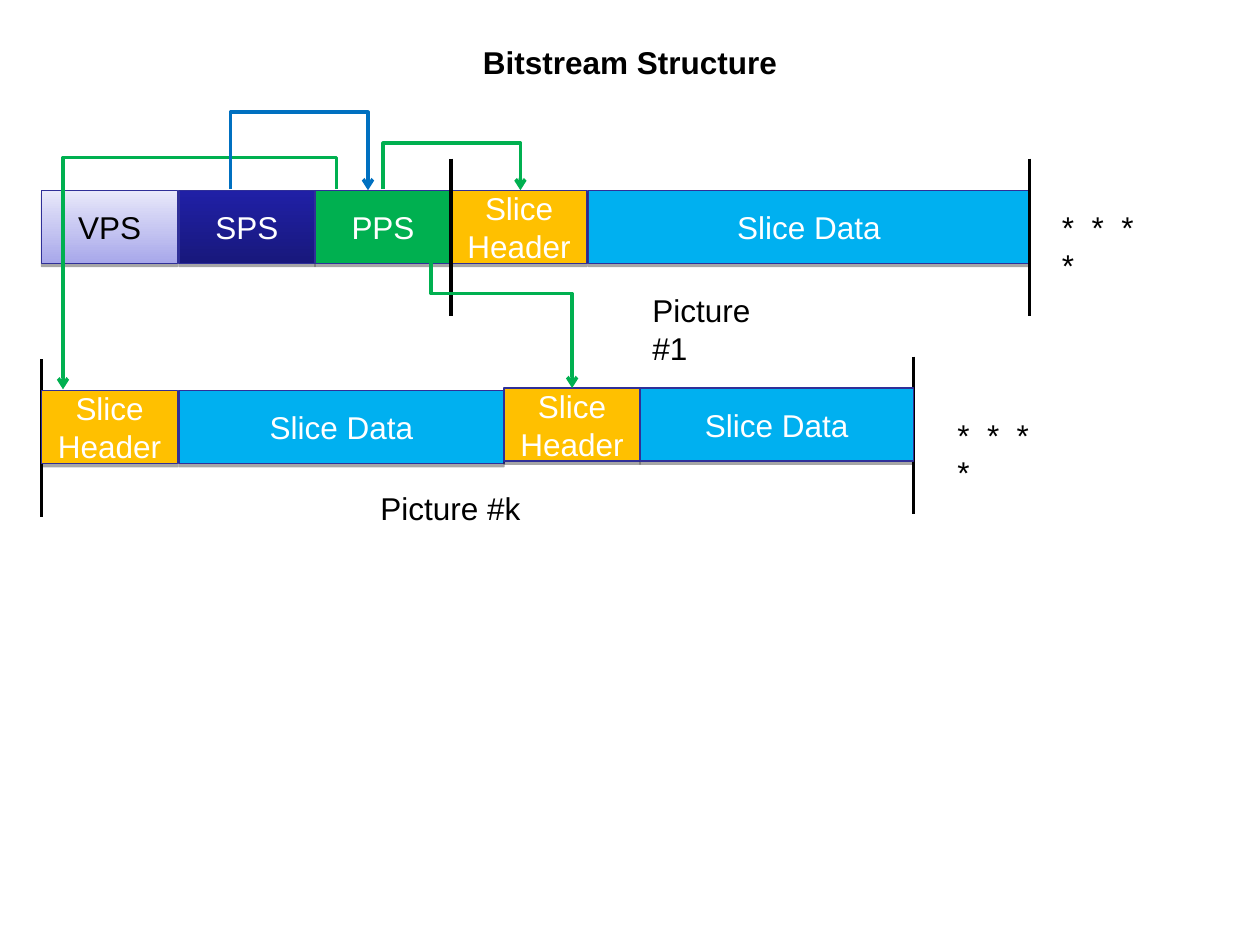
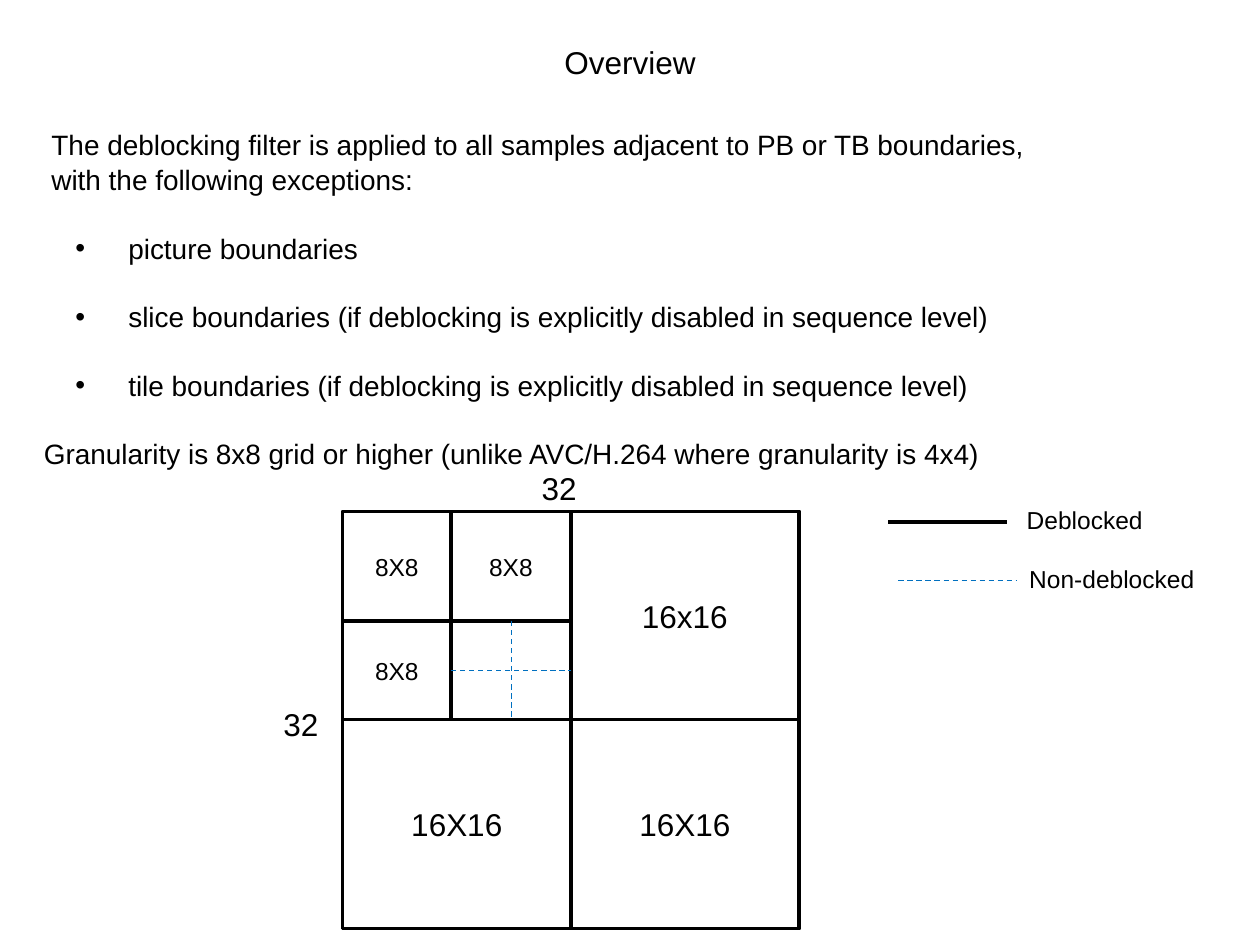
"""Builds two slides on video coding: bitstream structure and deblocking."""
from lxml.etree import SubElement
from pptx import Presentation
from pptx.dml.color import RGBColor as RGB
from pptx.enum.dml import MSO_LINE as Dash
from pptx.enum.shapes import MSO_CONNECTOR as Wire, MSO_SHAPE as Form
from pptx.enum.text import MSO_ANCHOR as Anchor, PP_ALIGN as Align
from pptx.oxml.ns import qn
from pptx.util import Inches, Pt

BLACK = RGB(0, 0, 0)
WHITE = RGB(255, 255, 255)
EDGE = RGB(0x2F, 0x2F, 0x98)
GREEN = RGB(0x00, 0xB0, 0x50)
GOLD = RGB(0xFF, 0xC0, 0x00)
SKY = RGB(0x00, 0xB0, 0xF0)
BLUE = RGB(0x00, 0x70, 0xC0)
LILAC = RGB(0xA8, 0xA8, 0xEA), RGB(0xE8, 0xE8, 0xFA)
NAVY = RGB(0x18, 0x18, 0x7C), RGB(0x20, 0x20, 0xA6)


class Deck:
    """Holds the style and the current slide."""

    def __init__(self):
        self.show = Presentation()
        self.show.slide_width = Inches(10)
        self.show.slide_height = Inches(7.5)
        self.slide = None

    def style(self, para, size=18, color=BLACK, bold=False, align=None):
        font = para.font
        font.name, font.size, font.bold = "Arial", Pt(size), bold
        font.color.rgb = color
        para.alignment = align

    def start(self, title, bold=False):
        self.slide = self.show.slides.add_slide(self.show.slide_layouts[5])
        head = self.slide.shapes.title
        head.left, head.top = Inches(0.5), Inches(0.08)
        head.width, head.height = Inches(9), Inches(0.83)
        frame = head.text_frame
        frame.text, frame.vertical_anchor = title, Anchor.MIDDLE
        self.style(frame.paragraphs[0], bold=bold, align=Align.CENTER)

    def label(self, x, y, w, text, size=18, gap=0):
        box = self.slide.shapes.add_textbox(
            Inches(x), Inches(y), Inches(w), Inches(0.4))
        frame = box.text_frame
        frame.text, frame.word_wrap = text, False
        para = frame.paragraphs[0]
        self.style(para, size)
        if gap:
            para.runs[0].font.size = Pt(size)
            para.runs[0]._r.get_or_add_rPr().set("spc", str(gap))

    def block(self, x, y, w, h, text="", fill=WHITE, ink=BLACK, size=18,
              edge=BLACK, width=2):
        box = self.slide.shapes.add_shape(
            Form.RECTANGLE, Inches(x), Inches(y), Inches(w), Inches(h))
        if isinstance(fill, RGB):
            box.fill.solid()
            box.fill.fore_color.rgb = fill
        else:
            box.fill.gradient()
            box.fill.gradient_angle = 90
            for stop, tone in zip(box.fill.gradient_stops, fill):
                stop.color.rgb = tone
        box.line.color.rgb, box.line.width = edge, Pt(width)
        box.shadow.inherit = False
        if text:
            frame = box.text_frame
            frame.text, frame.word_wrap = text, True
            frame.vertical_anchor = Anchor.MIDDLE
            self.style(frame.paragraphs[0], size, ink, align=Align.CENTER)
        return box

    def unit(self, x, y, w, text, fill, ink=WHITE):
        box = self.block(x, y, w, 0.58, text, fill, ink, edge=EDGE, width=0.75)
        effect = box.element.spPr.find(qn("a:effectLst"))
        cast = SubElement(effect, qn("a:outerShdw"), blurRad="0",
                          dist=str(Pt(1.8)), dir="5400000", rotWithShape="0")
        tone = SubElement(cast, qn("a:srgbClr"), val="000000")
        SubElement(tone, qn("a:alpha"), val="35000")

    def line(self, x1, y1, x2, y2, color=BLACK, width=2.0, dash=None,
             kind=Wire.STRAIGHT):
        wire = self.slide.shapes.add_connector(
            kind, Inches(x1), Inches(y1), Inches(x2), Inches(y2))
        wire.line.color.rgb, wire.line.width = color, Pt(width)
        if dash:
            wire.line.dash_style = dash
        SubElement(wire.element.spPr, qn("a:effectLst"))
        return wire

    def elbow(self, x1, y1, x2, y2, level, color=GREEN):
        mid, cen = (x1 + x2) / 2, (y1 + y2) / 2
        wide, tall = (y2 - y1) / 2, abs(x2 - x1) / 2
        wire = self.line(mid - wide, cen - tall, mid + wide, cen + tall,
                         color, kind=Wire.ELBOW)
        props = wire.element.spPr
        frame = props.find(qn("a:xfrm"))
        frame.set("rot", str((270 if x2 > x1 else 90) * 60000))
        if x2 > x1:
            frame.set("flipH", "1")
        bend = round((level - y1) / (y2 - y1) * 100000)
        guides = props.find(qn("a:prstGeom")).find(qn("a:avLst"))
        SubElement(guides, qn("a:gd"), name="adj1", fmla=f"val {bend}")
        SubElement(props.find(qn("a:ln")), qn("a:tailEnd"), type="arrow")

    def body(self, x, y, w, h, rows):
        box = self.slide.shapes.add_textbox(
            Inches(x), Inches(y), Inches(w), Inches(h))
        frame = box.text_frame
        frame.word_wrap, frame.margin_top = True, Inches(0.09)
        for i, (text, left, space, dot) in enumerate(rows):
            para = frame.add_paragraph() if i else frame.paragraphs[0]
            para.text = text
            if i:
                para.space_before = Pt(space)
            props = para._p.get_or_add_pPr()
            props.set("marL", str(Inches(left)))
            if dot:
                props.set("indent", str(Inches(-0.42)))
                SubElement(props, qn("a:buFont"), typeface="Arial")
                SubElement(props, qn("a:buChar"), char="•")
            self.style(para, 16)


def stream(deck):
    deck.start("Bitstream Structure", bold=True)
    head, data = ("Slice Header", GOLD), ("Slice Data", SKY)
    deck.unit(0.33, 1.51, 1.08, "VPS", LILAC, BLACK)
    deck.unit(1.42, 1.51, 1.08, "SPS", NAVY)
    deck.unit(2.5, 1.51, 1.08, "PPS", GREEN)
    deck.unit(3.58, 1.51, 1.08, *head)
    deck.unit(4.67, 1.51, 3.5, *data)
    for x, y in ((3.58, 1.26), (8.17, 1.26), (0.33, 2.85), (7.25, 2.83)):
        deck.line(x, y, x, y + 1.25)
    for x, y, w, part in ((0.33, 3.1, 1.08, head), (1.42, 3.1, 2.58, data),
                          (4, 3.08, 1.08, head), (5.08, 3.08, 2.17, data)):
        deck.unit(x, y, w, *part)
    deck.label(5.08, 2.26, 1.32, "Picture #1")
    deck.label(2.92, 3.83, 1.31, "Picture #k")
    for x, y in ((8.33, 1.6), (7.5, 3.25)):
        deck.label(x, y, 1, "* * * *", gap=250)
    deck.elbow(3.04, 1.5, 4.13, 1.51, 1.13)
    deck.elbow(2.67, 1.5, 0.5, 3.09, 1.25)
    deck.elbow(3.42, 2.08, 4.54, 3.08, 2.33)
    deck.elbow(1.83, 1.5, 2.92, 1.51, 0.88, BLUE)


def filters(deck):
    deck.start("Overview")
    off = "boundaries (if deblocking is explicitly disabled in sequence level)"
    deck.body(0.25, 0.92, 9.42, 6.4, (
        ("The deblocking filter is applied to all samples adjacent to "
         "PB or TB boundaries,", 0.06, 0, False),
        ("with the following exceptions:", 0.06, 1, False),
        ("picture boundaries", 0.67, 20, True),
        (f"slice {off}", 0.67, 20, True),
        (f"tile {off}", 0.67, 20, True),
        ("Granularity is 8x8 grid or higher (unlike AVC/H.264 where "
         "granularity is 4x4)", 0, 20, False)))
    cols, rows = (2.72, 3.58, 4.53, 6.34), (4.06, 4.93, 5.71, 7.37)
    for c1, r1, c2, r2, text, size in (
            (0, 0, 3, 3, "", 18), (0, 0, 2, 2, "", 18),
            (2, 0, 3, 2, "16x16", 18), (0, 2, 2, 3, "16X16", 18),
            (2, 2, 3, 3, "16X16", 18), (0, 0, 1, 1, "8X8", 14),
            (1, 0, 2, 1, "8X8", 14), (0, 1, 1, 2, "8X8", 14)):
        deck.block(cols[c1], rows[r1], cols[c2] - cols[c1],
                   rows[r2] - rows[r1], text, size=size)
    thin = BLUE, 0.75, Dash.DASH
    deck.line(4.06, rows[1], 4.06, rows[2], *thin)
    deck.line(cols[1], 5.32, cols[2], 5.32, *thin)
    deck.label(2.15, 5.55, 0.48, "32")
    deck.label(4.2, 3.67, 0.48, "32")
    deck.line(7.05, 4.14, 7.99, 4.14, width=2.25)
    deck.line(7.13, 4.61, 8.07, 4.61, *thin)
    deck.label(8.05, 3.96, 1.12, "Deblocked", 14)
    deck.label(8.07, 4.43, 1.51, "Non-deblocked", 14)


def main():
    deck = Deck()
    stream(deck)
    filters(deck)
    deck.show.save("out.pptx")


if __name__ == "__main__":
    main()
